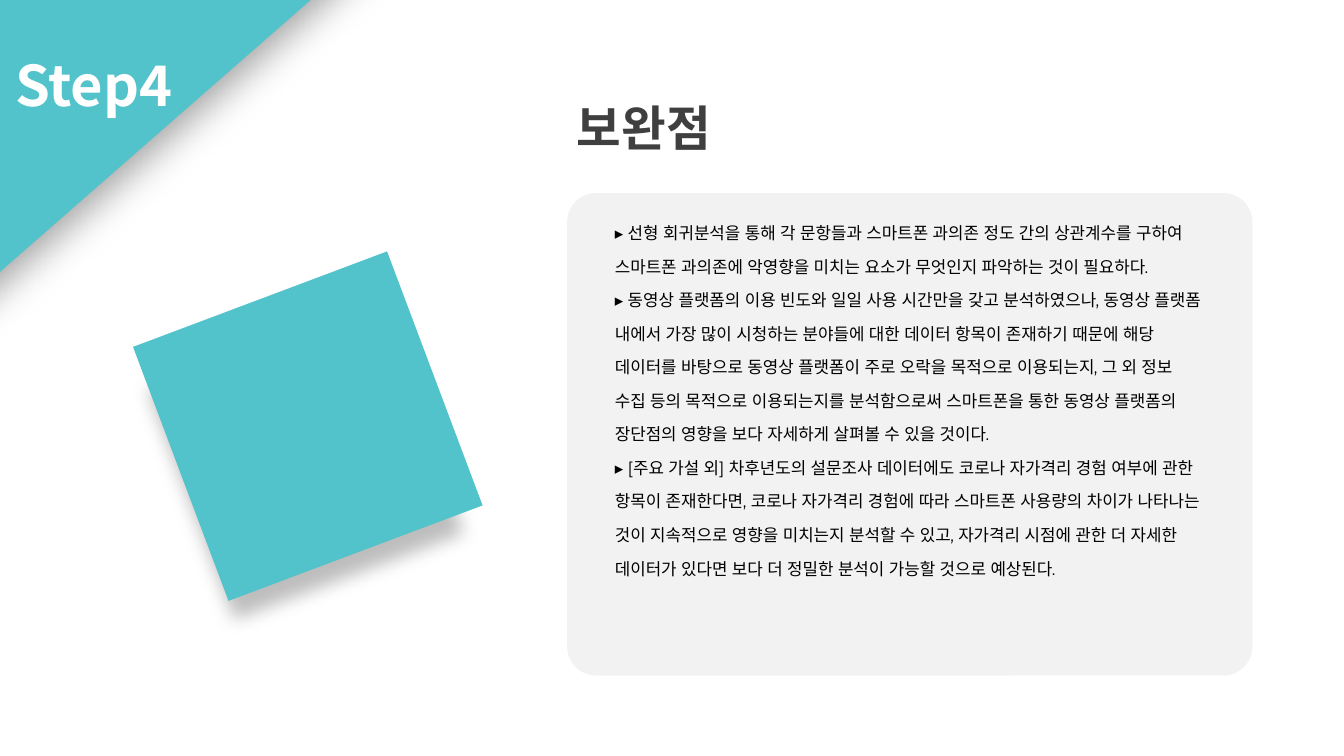
"""Build the Step4 slide on points to improve."""
import dataclasses
import typing

import lxml.etree
import pptx
import pptx.dml.color
import pptx.enum.shapes
import pptx.enum.text
import pptx.oxml.ns
import pptx.util

Cm = pptx.util.Cm
Pt = pptx.util.Pt
RGB = pptx.dml.color.RGBColor
Kind = pptx.enum.shapes.MSO_SHAPE
Align = pptx.enum.text.PP_ALIGN
qn = pptx.oxml.ns.qn


@dataclasses.dataclass(frozen=True)
class Theme:
    teal: str = "52C3CB"
    panel: str = "F2F2F2"
    white: str = "FFFFFF"
    dark: str = "3F3F3F"
    black: str = "000000"
    sans: str = "Montserrat"
    hangul: str = "Noto Sans CJK KR"
    step: float = 30
    title: float = 26
    body: float = 9


class Box(typing.NamedTuple):
    left: float
    top: float
    width: float
    height: float

    def place(self) -> tuple:
        return tuple(Cm(side) for side in self)


class Shade(typing.NamedTuple):
    alpha: int
    blur: float
    dist: float
    angle: float
    scale: int = 100


class Panel(typing.NamedTuple):
    box: Box
    fill: str
    kind: typing.Any = Kind.RECTANGLE
    turn: float = 0
    shade: typing.Optional[Shade] = None


class Label(typing.NamedTuple):
    box: Box
    lines: tuple
    font: str
    size: float
    color: str
    bold: bool = False
    align: typing.Any = Align.LEFT
    inset: tuple = (0.18, 0.1)
    space: float = 1.0


THEME = Theme()

PANELS = (
    Panel(Box(10.72, 3.65, 12.95, 9.12), THEME.panel, Kind.ROUNDED_RECTANGLE),
    Panel(Box(-1.1, -4.89, 5.03, 10.9), THEME.teal, turn=48.8,
          shade=Shade(36, 21.4, 6.8, 90)),
    Panel(Box(3.25, 5.49, 5.13, 5.13), THEME.teal, turn=69.4,
          shade=Shade(25, 10, 24.4, 121, 90)),
)

BODY = (
    "▸ 선형 회귀분석을 통해 각 문항들과 스마트폰 과의존 정도 간의 상관계수를 구하여 "
    "스마트폰 과의존에 악영향을 미치는 요소가 무엇인지 파악하는 것이 필요하다.",
    "▸ 동영상 플랫폼의 이용 빈도와 일일 사용 시간만을 갖고 분석하였으나, 동영상 "
    "플랫폼 내에서 가장 많이 시청하는 분야들에 대한 데이터 항목이 존재하기 때문에 "
    "해당 데이터를 바탕으로 동영상 플랫폼이 주로 오락을 목적으로 이용되는지, 그 외 "
    "정보 수집 등의 목적으로 이용되는지를 분석함으로써 스마트폰을 통한 동영상 "
    "플랫폼의 장단점의 영향을 보다 자세하게 살펴볼 수 있을 것이다.",
    "▸ [주요 가설 외] 차후년도의 설문조사 데이터에도 코로나 자가격리 경험 여부에 "
    "관한 항목이 존재한다면, 코로나 자가격리 경험에 따라 스마트폰 사용량의 차이가 "
    "나타나는 것이 지속적으로 영향을 미치는지 분석할 수 있고, 자가격리 시점에 관한 "
    "더 자세한 데이터가 있다면 보다 더 정밀한 분석이 가능할 것으로 예상된다.",
)

LABELS = (
    Label(Box(-0.79, 0.71, 5.13, 1.8), ("Step4",), THEME.hangul, THEME.step,
          THEME.white, True, Align.CENTER, (0.25, 0.25)),
    Label(Box(10.72, 1.75, 11.07, 1.3), ("보완점",), THEME.sans, THEME.title,
          THEME.dark, True),
    Label(Box(11.44, 3.86, 11.48, 8.92), BODY, THEME.sans, THEME.body,
          THEME.black, space=1.66),
)


def add_shade(shape: typing.Any, shade: Shade) -> None:
    props = shape._element.spPr
    scale = str(shade.scale * 1000)
    outer = lxml.etree.SubElement(
        props.find(qn("a:effectLst")), qn("a:outerShdw"),
        blurRad=str(Pt(shade.blur)), dist=str(Pt(shade.dist)),
        dir=str(round(shade.angle * 60000)), sx=scale, sy=scale,
        algn="ctr", rotWithShape="0")
    color = lxml.etree.SubElement(outer, qn("a:srgbClr"), val=THEME.black)
    lxml.etree.SubElement(color, qn("a:alpha"), val=str(shade.alpha * 1000))


def add_panel(slide: typing.Any, panel: Panel) -> None:
    shape = slide.shapes.add_shape(panel.kind, *panel.box.place())
    shape.rotation = panel.turn
    shape.fill.solid()
    shape.fill.fore_color.rgb = RGB.from_string(panel.fill)
    shape.line.fill.background()
    shape.shadow.inherit = False
    if panel.kind == Kind.ROUNDED_RECTANGLE:
        shape.adjustments[0] = 0.06
    if panel.shade:
        add_shade(shape, panel.shade)


def add_label(slide: typing.Any, label: Label) -> None:
    frame = slide.shapes.add_textbox(*label.box.place()).text_frame
    frame.word_wrap = True
    frame.margin_left = frame.margin_right = Cm(label.inset[0])
    frame.margin_top = frame.margin_bottom = Cm(label.inset[1])
    frame.text = "\n".join(label.lines)
    for para in frame.paragraphs:
        para.alignment = label.align
        para.line_spacing = label.space
        for run in para.runs:
            font = run.font
            font.name = label.font
            font.size = Pt(label.size)
            font.bold = label.bold
            font.color.rgb = RGB.from_string(label.color)
            props = run._r.get_or_add_rPr()
            props.set("kern", "0")
            latin = props.find(qn("a:latin"))
            latin.addnext(latin.makeelement(qn("a:ea"), typeface=label.font))


def main() -> None:
    deck = pptx.Presentation()
    deck.slide_width, deck.slide_height = Cm(25.4), Cm(14.29)
    slide = deck.slides.add_slide(deck.slide_layouts[6])
    for panel in PANELS:
        add_panel(slide, panel)
    for label in LABELS:
        add_label(slide, label)
    deck.save("out.pptx")


if __name__ == "__main__":
    main()
